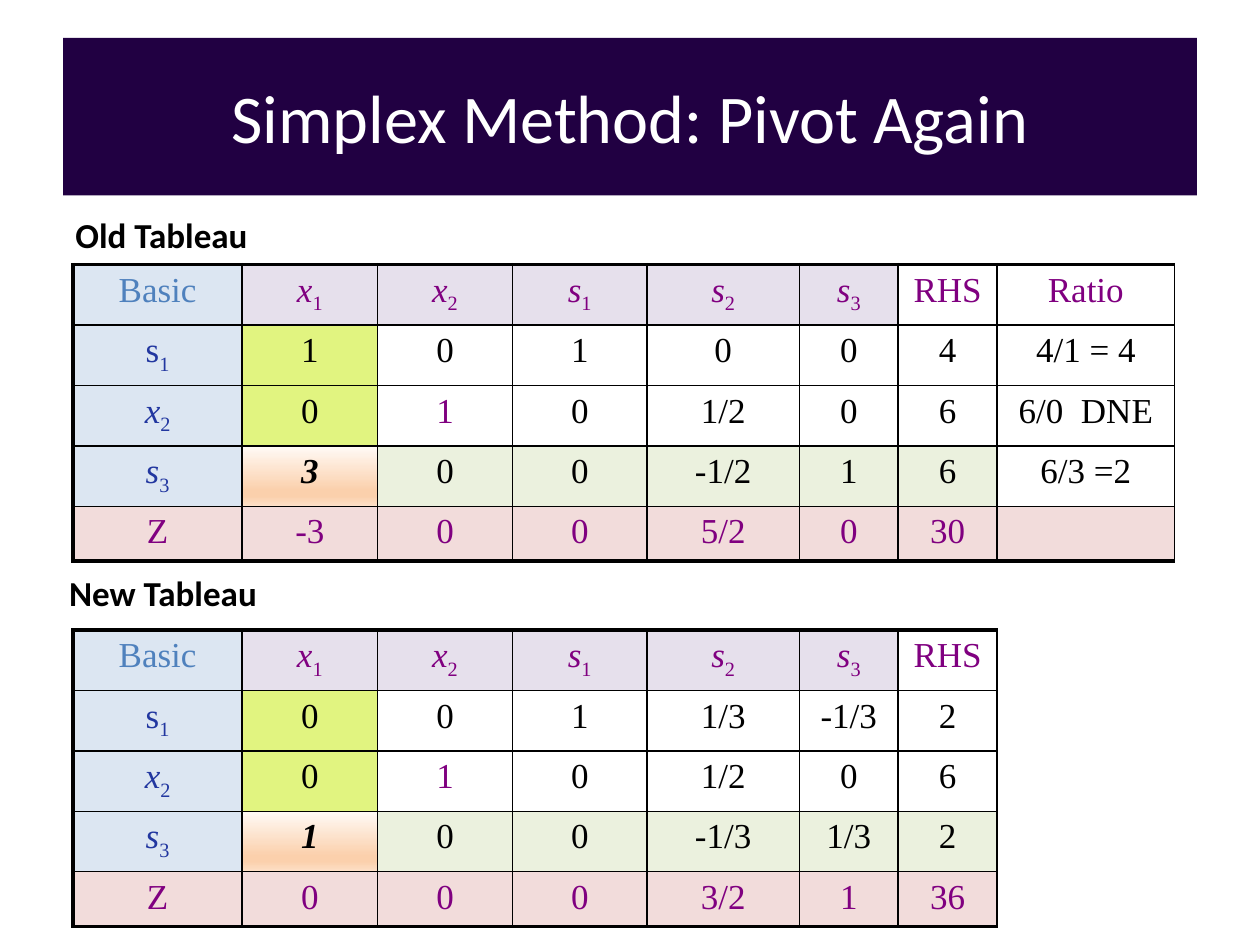
"""Build the simplex slide with the old and the new tableau."""
from dataclasses import dataclass

from lxml.etree import SubElement
from pptx import Presentation
from pptx.dml.color import RGBColor
from pptx.enum.text import MSO_ANCHOR, MSO_AUTO_SIZE, PP_ALIGN
from pptx.oxml.ns import qn
from pptx.util import Pt


@dataclass(frozen=True)
class Theme:
    sans: str = "Calibri"
    serif: str = "Times New Roman"
    head: float = 39
    size: float = 20
    thin: float = 1
    thick: float = 2.25
    banner: str = "210042"
    white: str = "FFFFFF"
    black: str = "000000"
    purple: str = "800080"
    blue: str = "4F81BD"
    navy: str = "2237A0"
    sky: str = "DCE6F2"
    lilac: str = "E6E0EC"
    lime: str = "E1F480"
    green: str = "EBF1DE"
    pink: str = "F2DCDB"
    glow: tuple = ((0, "FFFAF6"), (74, "FBD0AC"), (83, "FBD0AC"), (100, "FDE0C7"))


theme = Theme()


def add_run(para, text, font, size, color):
    run = para.add_run()
    run.text = text
    run.font.name = font
    run.font.size = Pt(size)
    run.font.color.rgb = RGBColor.from_string(color)
    return run


def add_line(cell, side, width):
    line = SubElement(cell._tc.get_or_add_tcPr(), qn(f"a:ln{side}"), w=str(Pt(width)))
    fill = SubElement(line, qn("a:solidFill"))
    SubElement(fill, qn("a:srgbClr"), val=theme.black)


deck = Presentation()
deck.slide_width, deck.slide_height = Pt(720), Pt(540)
slide = deck.slides.add_slide(deck.slide_layouts[5])

title = slide.shapes.title
title.left, title.top, title.width, title.height = Pt(36), Pt(21.6), Pt(648), Pt(90)
title.fill.solid()
title.fill.fore_color.rgb = RGBColor.from_string(theme.banner)
frame = title.text_frame
frame.auto_size = MSO_AUTO_SIZE.NONE
frame.vertical_anchor = MSO_ANCHOR.MIDDLE
para = frame.paragraphs[0]
para.alignment = PP_ALIGN.CENTER
add_run(para, "Simplex Method: Pivot Again", theme.sans, theme.head, theme.white)

widths = [96.5, 77.5, 77, 77, 87, 56.5, 56.5, 101.5]
heights = [32.6, 32.6, 32.6, 32.6, 29.6]
header = ["Basic", "x_1", "x_2", "s_1", "s_2", "s_3", "RHS"]
old = [
    header + ["Ratio"],
    ["s_1", "1", "0", "1", "0", "0", "4", "4/1 = 4"],
    ["x_2", "0", "1", "0", "1/2", "0", "6", "6/0  DNE"],
    ["s_3", "3", "0", "0", "-1/2", "1", "6", "6/3 =2"],
    ["Z", "-3", "0", "0", "5/2", "0", "30", ""],
]
new = [
    header,
    ["s_1", "0", "0", "1", "1/3", "-1/3", "2"],
    ["x_2", "0", "1", "0", "1/2", "0", "6"],
    ["s_3", "1", "0", "0", "-1/3", "1/3", "2"],
    ["Z", "0", "0", "0", "3/2", "1", "36"],
]

for label, left, top, start, data in [
    ("Old Tableau", 36, 118.4, 151.2, old),
    ("New Tableau", 32.4, 322.8, 360, new),
]:
    box = slide.shapes.add_textbox(Pt(left), Pt(top), Pt(648), Pt(198))
    box.text_frame.word_wrap = True
    para = box.text_frame.paragraphs[0]
    add_run(para, label, theme.sans, theme.size, theme.black).font.bold = True

    count = len(data[0])
    last = len(data) - 1
    table = slide.shapes.add_table(
        len(data), count, Pt(41.8), Pt(start), Pt(sum(widths[:count])), Pt(sum(heights))
    ).table
    table.first_row = table.horz_banding = False
    for col, width in zip(table.columns, widths):
        col.width = Pt(width)
    for row, height in zip(table.rows, heights):
        row.height = Pt(height)

    for r, line in enumerate(data):
        for c, text in enumerate(line):
            cell = table.cell(r, c)
            pivot = (r, c) == (3, 1)

            for side, edge in [("L", c == 0), ("R", False), ("T", r == 0), ("B", r == last)]:
                add_line(cell, side, theme.thick if edge else theme.thin)

            if r == last:
                shade = theme.pink
            elif c == 0:
                shade = theme.sky
            elif r == 0 and c < 6:
                shade = theme.lilac
            elif c == 1:
                shade = theme.lime
            elif r == 3 and c < 7:
                shade = theme.green
            else:
                shade = None

            if pivot:
                grad = SubElement(cell._tc.tcPr, qn("a:gradFill"), rotWithShape="1")
                stops = SubElement(grad, qn("a:gsLst"))
                for place, tint in theme.glow:
                    stop = SubElement(stops, qn("a:gs"), pos=str(place * 1000))
                    SubElement(stop, qn("a:srgbClr"), val=tint)
                SubElement(grad, qn("a:lin"), ang="5400000", scaled="0")
            elif shade:
                cell.fill.solid()
                cell.fill.fore_color.rgb = RGBColor.from_string(shade)
            else:
                cell.fill.background()

            if (r, c) == (0, 0):
                ink = theme.blue
            elif r in (0, last) or (r, c) == (2, 2):
                ink = theme.purple
            elif c == 0:
                ink = theme.navy
            else:
                ink = theme.black

            para = cell.text_frame.paragraphs[0]
            para.alignment = PP_ALIGN.CENTER
            base, mark, index = text.partition("_")
            if base:
                run = add_run(para, base, theme.serif, theme.size, ink)
                run.font.bold = pivot
                run.font.italic = pivot or (bool(mark) and r != 1)
            if index:
                run = add_run(para, index, theme.serif, theme.size, ink)
                run.font._element.set("baseline", "-25000")

deck.save("out.pptx")
